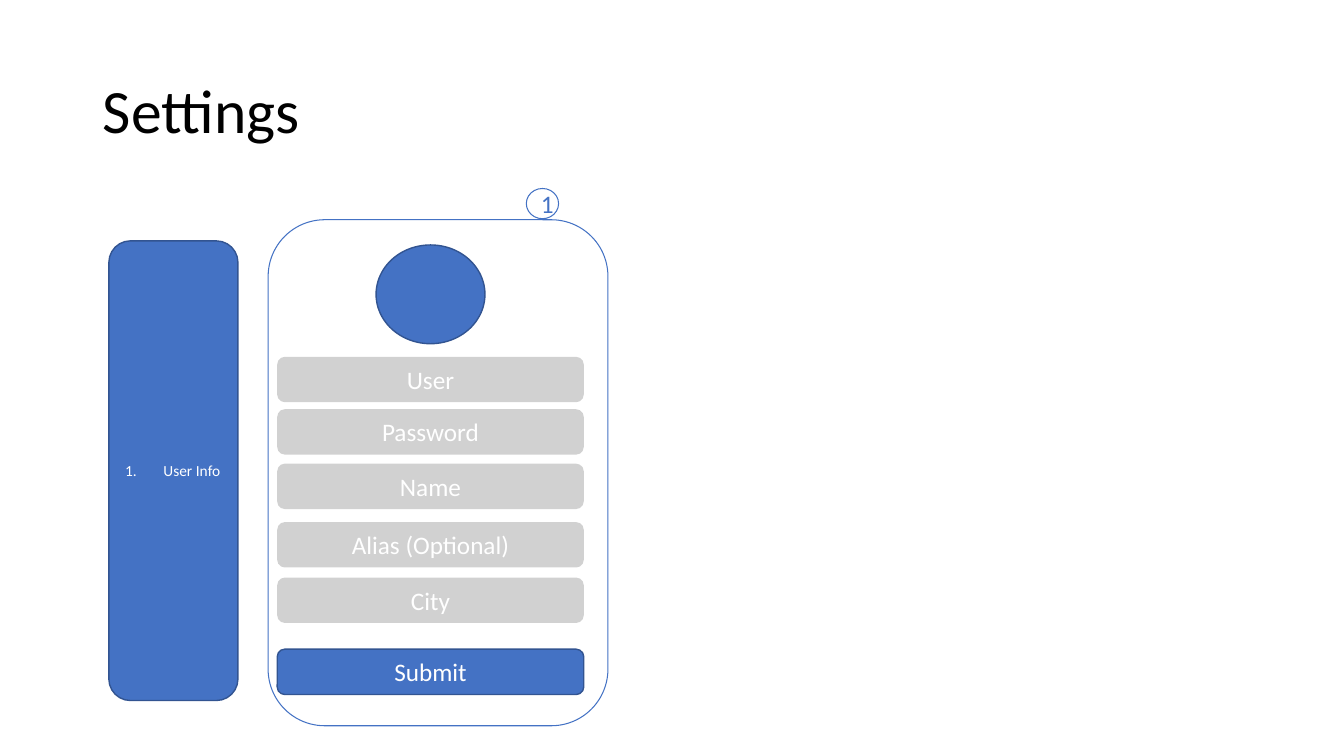
from lxml.etree import SubElement
from pptx import Presentation
from pptx.dml.color import RGBColor
from pptx.enum.shapes import MSO_SHAPE
from pptx.enum.text import MSO_ANCHOR, MSO_AUTO_SIZE, PP_ALIGN
from pptx.oxml.ns import qn
from pptx.util import Inches, Pt

BLUE, NAVY, GRAY, WHITE = "4472C4", "325491", "A5A5A5", "FFFFFF"
ROUND, OVAL = MSO_SHAPE.ROUNDED_RECTANGLE, MSO_SHAPE.OVAL
hue = RGBColor.from_string


def draw(shapes, kind, spot, fill=None, line=None, width=1, alpha=None):
    shape = shapes.add_shape(kind, *[Inches(n) for n in spot])
    shape.shadow.inherit = False
    if fill:
        shape.fill.solid()
        shape.fill.fore_color.rgb = hue(fill)
        if alpha:
            tone = shape.fill._xPr.find(qn("a:solidFill"))[0]
            SubElement(tone, qn("a:alpha"), val=str(alpha * 1000))
    else:
        shape.fill.background()
    if line:
        shape.line.color.rgb = hue(line)
        shape.line.width = Pt(width)
    else:
        shape.line.fill.background()
    return shape


def write(shape, text, size=18, color=WHITE, align=PP_ALIGN.CENTER):
    frame = shape.text_frame
    frame.word_wrap = True
    frame.auto_size = MSO_AUTO_SIZE.NONE
    frame.vertical_anchor = MSO_ANCHOR.MIDDLE
    para = frame.paragraphs[0]
    para.alignment = align
    run = para.add_run()
    run.text = text
    run.font.name = "Calibri"
    run.font.size = Pt(size)
    run.font.color.rgb = hue(color)
    return para


deck = Presentation()
deck.slide_width, deck.slide_height = Inches(13.33), Inches(7.5)
slide = deck.slides.add_slide(deck.slide_layouts[5])
shapes = slide.shapes

title = shapes.title
title.left, title.top = Inches(0.92), Inches(0.4)
title.width, title.height = Inches(11.5), Inches(1.45)
para = write(title, "Settings", size=44, color="000000", align=PP_ALIGN.LEFT)
para.line_spacing = 0.9

form = shapes.add_group_shape().shapes
fields = [("User", 3.54), ("Password", 4.06), ("Name", 4.6),
          ("Alias (Optional)", 5.18), ("City", 5.73)]
for label, top in fields:
    field = draw(form, ROUND, (2.75, top, 3.04, 0.45), fill=GRAY, alpha=50)
    write(field, label)
button = draw(form, ROUND, (2.75, 6.44, 3.04, 0.45), fill=BLUE, line=NAVY)
write(button, "Submit")
draw(form, OVAL, (3.73, 2.43, 1.08, 0.98), fill=BLUE, line=NAVY)

menu = draw(shapes, ROUND, (1.08, 2.39, 1.28, 4.56), fill=BLUE, line=NAVY)
para = write(menu, "User Info", size=11, align=PP_ALIGN.LEFT)
props = para._p.get_or_add_pPr()
props.set("marL", str(Inches(0.38)))
props.set("indent", str(-Inches(0.38)))
SubElement(props, qn("a:buAutoNum"), type="arabicPeriod")

draw(shapes, ROUND, (2.66, 2.18, 3.37, 5.02), line=BLUE, width=0.75)
badge = draw(shapes, OVAL, (5.22, 1.87, 0.32, 0.3), line=BLUE, width=0.75)
write(badge, "1", color=BLUE)

deck.save("out.pptx")
